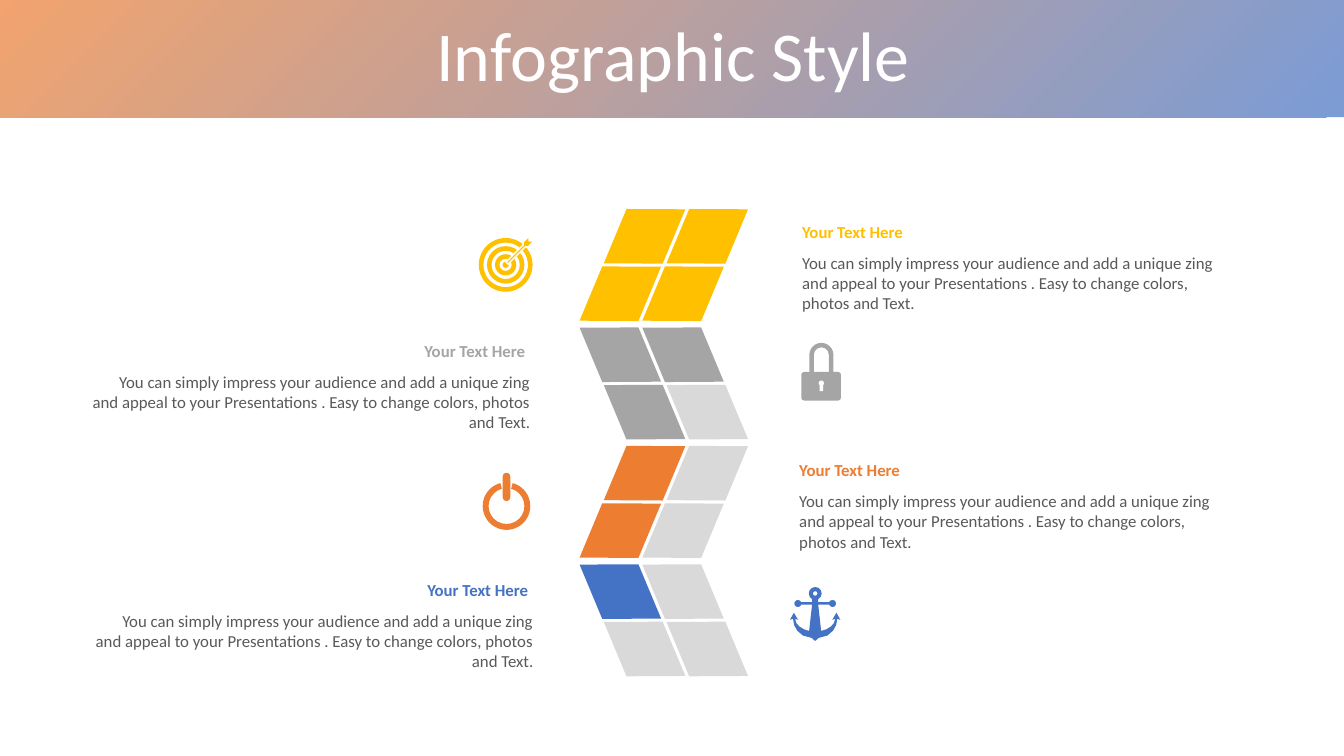
from lxml import etree
from pptx import Presentation
from pptx.dml.color import RGBColor
from pptx.enum.shapes import MSO_SHAPE
from pptx.enum.text import MSO_ANCHOR, MSO_AUTO_SIZE, PP_ALIGN
from pptx.oxml.ns import qn
from pptx.util import Pt

RECTANGLE = MSO_SHAPE.RECTANGLE
ROUNDED = MSO_SHAPE.ROUNDED_RECTANGLE
DIAMOND = MSO_SHAPE.FLOWCHART_DECISION
ELLIPSE, DONUT, BLOCK_ARC = MSO_SHAPE.OVAL, MSO_SHAPE.DONUT, MSO_SHAPE.BLOCK_ARC
LEFT, CENTER, RIGHT = PP_ALIGN.LEFT, PP_ALIGN.CENTER, PP_ALIGN.RIGHT
TOP, MIDDLE = MSO_ANCHOR.TOP, MSO_ANCHOR.MIDDLE
NO_AUTOFIT = MSO_AUTO_SIZE.NONE

COLORS = {
    "yellow": "FFC000",
    "gray": "A5A5A5",
    "orange": "ED7D31",
    "blue": "4472C4",
    "empty": "D9D9D9",
    "text": "595959",
    "white": "FFFFFF",
}
FONT = "Calibri"
HEADING = "Your Text Here"
DESCRIPTION = (
    "You can simply impress your audience and add a unique zing and appeal to "
    "your Presentations . Easy to change colors, photos and Text."
)
TILE_WIDTH, TILE_HEIGHT, TILE_ANGLE = 69.84, 46.8, 33.5
TILE_LEFT, TILE_TOP = 408.2, 145.4
COLUMN_PITCH, ROW_PITCH, BLOCK_PITCH, SLANT = 44.8, 41, 84.6, 17.3
TEXT_TOP, TEXT_PITCH, DESCRIPTION_OFFSET = 154.8, 85.2, 22
ANGLE_UNIT = 0.6

FILLED_TILES = [
    ("yellow", [0, 1, 2, 3]),
    ("gray", [0, 1, 2]),
    ("orange", [0, 2]),
    ("blue", [0]),
]
TEXTS = [
    ("yellow", LEFT, 565.9, 321.8, 565.9, 324.7),
    ("gray", RIGHT, 56.9, 325.4, 57.6, 328.3),
    ("orange", LEFT, 563.8, 321.8, 563.8, 324.7),
    ("blue", RIGHT, 59, 325.4, 59.8, 328.3),
]


def rgb(name):
    return RGBColor.from_string(COLORS[name])


def write_text(shape, text, size=12, color="text", bold=False, align=LEFT,
               anchor=TOP, line_spacing=None, space_before=None):
    frame = shape.text_frame
    frame.word_wrap = True
    frame.auto_size = NO_AUTOFIT
    frame.vertical_anchor = anchor
    paragraph = frame.paragraphs[0]
    paragraph.alignment = align
    paragraph.line_spacing = line_spacing
    paragraph.space_before = space_before
    run = paragraph.add_run()
    run.text = text
    run.font.name = FONT
    run.font.size = Pt(size)
    run.font.bold = bold
    run.font.color.rgb = rgb(color)


def paint(shape, color):
    shape.shadow.inherit = False
    shape.fill.solid()
    shape.fill.fore_color.rgb = rgb(color)
    shape.line.fill.background()


def add_preset(slide, kind, color, left, top, width, height, adjustments=()):
    shape = slide.shapes.add_shape(
        kind, Pt(left), Pt(top), Pt(width), Pt(height))
    for index, value in enumerate(adjustments):
        shape.adjustments[index] = value
    paint(shape, color)
    return shape


def add_round(slide, kind, color, x, y, radius, adjustments=()):
    add_preset(slide, kind, color, x - radius, y - radius,
               2 * radius, 2 * radius, adjustments)


def add_ring(slide, color, x, y, outer, inner):
    add_round(slide, DONUT, color, x, y, outer, [(outer - inner) / (2 * outer)])


def add_arc(slide, color, x, y, outer, inner, start, end):
    add_round(slide, BLOCK_ARC, color, x, y, outer,
              [start * ANGLE_UNIT, end * ANGLE_UNIT,
               (outer - inner) / (2 * outer)])


def add_outline(slide, color, left, top, points):
    corners = [(Pt(left + x), Pt(top + y)) for x, y in points]
    builder = slide.shapes.build_freeform(*corners[0])
    builder.add_line_segments(corners[1:])
    shape = builder.convert_to_shape()
    paint(shape, color)
    return shape


def add_banner(slide):
    banner = slide.shapes.add_shape(RECTANGLE, 0, 0, Pt(960), Pt(83.7))
    banner.shadow.inherit = False
    banner.line.fill.background()
    banner.fill.gradient()
    banner.fill.gradient_angle = 135
    for stop, color in zip(banner.fill.gradient_stops, ("blue", "orange")):
        stop.color.rgb = rgb(color)
    gradient = banner._element.spPr.find(qn("a:gradFill"))
    for color_element in gradient.iter(qn("a:srgbClr")):
        etree.SubElement(color_element, qn("a:alpha")).set("val", "70000")
    slide.shapes._spTree.insert(2, banner._element)


def add_title(slide, text):
    title = slide.shapes.title
    title.left, title.top = Pt(25.2), Pt(15.1)
    title.width, title.height = Pt(911.5), Pt(56.9)
    write_text(title, text, size=50, color="white", align=CENTER,
               anchor=MIDDLE, line_spacing=0.8, space_before=Pt(10))


def add_tile_block(slide, index, color, filled):
    leans_right = index % 2 == 0
    for position in range(4):
        row, column = divmod(position, 2)
        shifted = (row == 0) == leans_right
        left = TILE_LEFT + column * COLUMN_PITCH + shifted * SLANT
        top = TILE_TOP + index * BLOCK_PITCH + row * ROW_PITCH
        tile = add_preset(slide, DIAMOND,
                          color if position in filled else "empty",
                          left, top, TILE_WIDTH, TILE_HEIGHT)
        tile.rotation = 360 - TILE_ANGLE if leans_right else TILE_ANGLE


def add_text_block(slide, index, color, align, heading_left, heading_width,
                   description_left, description_width):
    top = TEXT_TOP + index * TEXT_PITCH
    heading = slide.shapes.add_textbox(
        Pt(heading_left), Pt(top), Pt(heading_width), Pt(21.6))
    write_text(heading, HEADING, color=color, bold=True, align=align)
    description = slide.shapes.add_textbox(
        Pt(description_left), Pt(top + DESCRIPTION_OFFSET),
        Pt(description_width), Pt(51.1))
    write_text(description, DESCRIPTION, align=align)


def add_target(slide, x, y, color):
    for outer, inner in [(19.2, 15.9), (13.4, 10.1), (7.6, 4.4)]:
        add_ring(slide, color, x, y, outer, inner)
    add_round(slide, ELLIPSE, color, x, y, 2.2)
    arrow = add_outline(slide, color, x, y, [
        (16.8, -20.7), (16.8, -17.1), (20.4, -17.1), (16.1, -12.8),
        (13.9, -12.8), (1.7, -0.5), (0.2, -2), (12.5, -14.2), (12.5, -16.4)])
    arrow.line.color.rgb = rgb("white")
    arrow.line.width = Pt(1)


def add_power(slide, x, y, color):
    add_arc(slide, color, x, y, 17, 12.8, 285, 255)
    add_preset(slide, ROUNDED, color, x - 2.7, y - 23.8, 5.4, 20.2, [0.5])


def add_padlock(slide, x, y, color):
    add_arc(slide, color, x, y, 8.6, 5.4, 180, 0)
    for leg_left in (x - 8.6, x + 5.4):
        add_preset(slide, RECTANGLE, color, leg_left, y, 3.2, 13)
    add_preset(slide, ROUNDED, color, x - 14.3, y + 12.2, 28.3, 20.4, [0.1])
    add_round(slide, ELLIPSE, "white", x, y + 20.2, 1.9)
    add_preset(slide, RECTANGLE, "white", x - 1.3, y + 20.2, 2.6, 5.7)


def add_anchor(slide, x, y, color):
    half = [(2.2, 3.6), (2.2, 6.3), (12.4, 6.3), (12.4, 8.1), (2.2, 8.1),
            (4.3, 26.8), (7.9, 25.7), (11.2, 23.7), (13.3, 21.4),
            (14.4, 18.1), (12.2, 18.9), (15.2, 13.8), (18, 18.9),
            (15.8, 18.1), (15, 22.6), (12.8, 26.6), (8.8, 30.1),
            (2.5, 31.8), (0, 34)]
    mirrored = [(-point_x, point_y) for point_x, point_y in reversed(half[:-1])]
    add_outline(slide, color, x, y, half + mirrored)
    add_ring(slide, color, x, y, 4.6, 1.6)
    for ball_x in (x - 12.4, x + 12.4):
        add_round(slide, ELLIPSE, color, ball_x, y + 7.2, 2.5)


def main():
    presentation = Presentation()
    presentation.slide_width, presentation.slide_height = Pt(960), Pt(540)
    slide = presentation.slides.add_slide(presentation.slide_layouts[5])
    add_banner(slide)
    add_title(slide, "Infographic Style")
    for index, (color, filled) in enumerate(FILLED_TILES):
        add_tile_block(slide, index, color, filled)
    for index, text_block in enumerate(TEXTS):
        add_text_block(slide, index, *text_block)
    add_target(slide, 361.2, 189.2, "yellow")
    add_padlock(slide, 586.7, 253.5, "gray")
    add_power(slide, 361.8, 361.5, "orange")
    add_anchor(slide, 582.3, 423.9, "blue")
    presentation.save("out.pptx")


if __name__ == "__main__":
    main()
